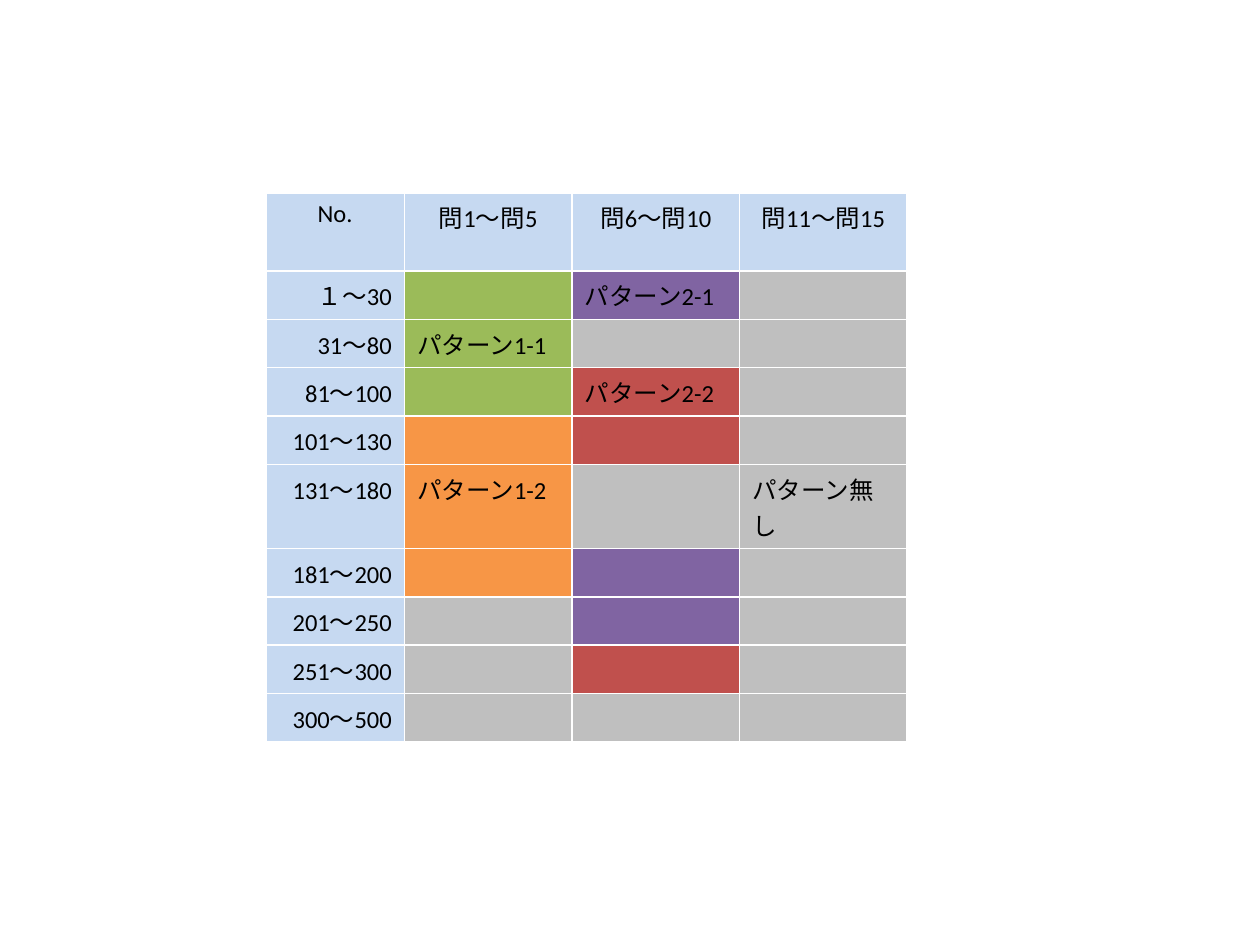
import pptx
import pptx.util
import pptx.dml.color
import pptx.enum.text
import pptx.oxml.ns
import lxml.etree

Inches = pptx.util.Inches
Pt = pptx.util.Pt
RGBColor = pptx.dml.color.RGBColor
Align = pptx.enum.text.PP_ALIGN
qn = pptx.oxml.ns.qn

BLUE = RGBColor(0xC6, 0xD9, 0xF1)
GREEN = RGBColor(0x9B, 0xBB, 0x59)
ORANGE = RGBColor(0xF7, 0x96, 0x46)
PURPLE = RGBColor(0x80, 0x64, 0xA2)
RED = RGBColor(0xC0, 0x50, 0x4D)
GRAY = RGBColor(0xBF, 0xBF, 0xBF)
BLACK = RGBColor(0, 0, 0)
WHITE = RGBColor(0xFF, 0xFF, 0xFF)

# Number range, then the fills of the three question columns
ranges = [
    ("１～30", GREEN, PURPLE, GRAY),
    ("31～80", GREEN, GRAY, GRAY),
    ("81～100", GREEN, RED, GRAY),
    ("101～130", ORANGE, RED, GRAY),
    ("131～180", ORANGE, GRAY, GRAY),
    ("181～200", ORANGE, PURPLE, GRAY),
    ("201～250", GRAY, PURPLE, GRAY),
    ("251～300", GRAY, RED, GRAY),
    ("300～500", GRAY, GRAY, GRAY),
]
heads = ["No.", "問1～問5", "問6～問10", "問11～問15"]

# Pattern names by row and column
labels = {
    (1, 2): "パターン2-1",
    (2, 1): "パターン1-1",
    (3, 2): "パターン2-2",
    (5, 1): "パターン1-2",
    (5, 3): "パターン無し",
}


def add_edges(cell):
    props = cell._tc.get_or_add_tcPr()
    for spot, side in enumerate(("a:lnL", "a:lnR", "a:lnT", "a:lnB")):
        line = lxml.etree.Element(qn(side), w=str(Pt(1)))
        fill = lxml.etree.SubElement(line, qn("a:solidFill"))
        lxml.etree.SubElement(fill, qn("a:srgbClr"), val=str(WHITE))
        props.insert(spot, line)


def fill_cell(cell, text, color, align):
    cell.fill.solid()
    cell.fill.fore_color.rgb = color
    add_edges(cell)
    para = cell.text_frame.paragraphs[0]
    if not text:
        # Keep empty cells at the table's text size
        lxml.etree.SubElement(para._p, qn("a:endParaRPr"), sz="1400")
        return
    para.alignment = align
    run = para.add_run()
    run.text = text
    run.font.name = "Calibri"
    run.font.size = Pt(14)
    run.font.bold = False
    run.font.color.rgb = BLACK


# Slide
deck = pptx.Presentation()
deck.slide_width = Inches(10)
deck.slide_height = Inches(7.5)
slide = deck.slides.add_slide(deck.slide_layouts[6])

# Table grid
rows = len(ranges) + 1
frame = slide.shapes.add_table(rows, len(heads), Inches(2.11), Inches(1.53),
                               Inches(5.09), Inches(3.2))
table = frame.table
table.first_row = False
table.horz_banding = False
for col, width in zip(table.columns, (1.1, 1.33, 1.33, 1.33)):
    col.width = Inches(width)
for row in table.rows:
    row.height = Inches(0.32)

# Header row
for c, head in enumerate(heads):
    fill_cell(table.cell(0, c), head, BLUE, Align.CENTER)

# Range rows
for r, (span, *colors) in enumerate(ranges, 1):
    fill_cell(table.cell(r, 0), span, BLUE, Align.RIGHT)
    for c, color in enumerate(colors, 1):
        fill_cell(table.cell(r, c), labels.get((r, c)), color, Align.LEFT)

deck.save("out.pptx")
